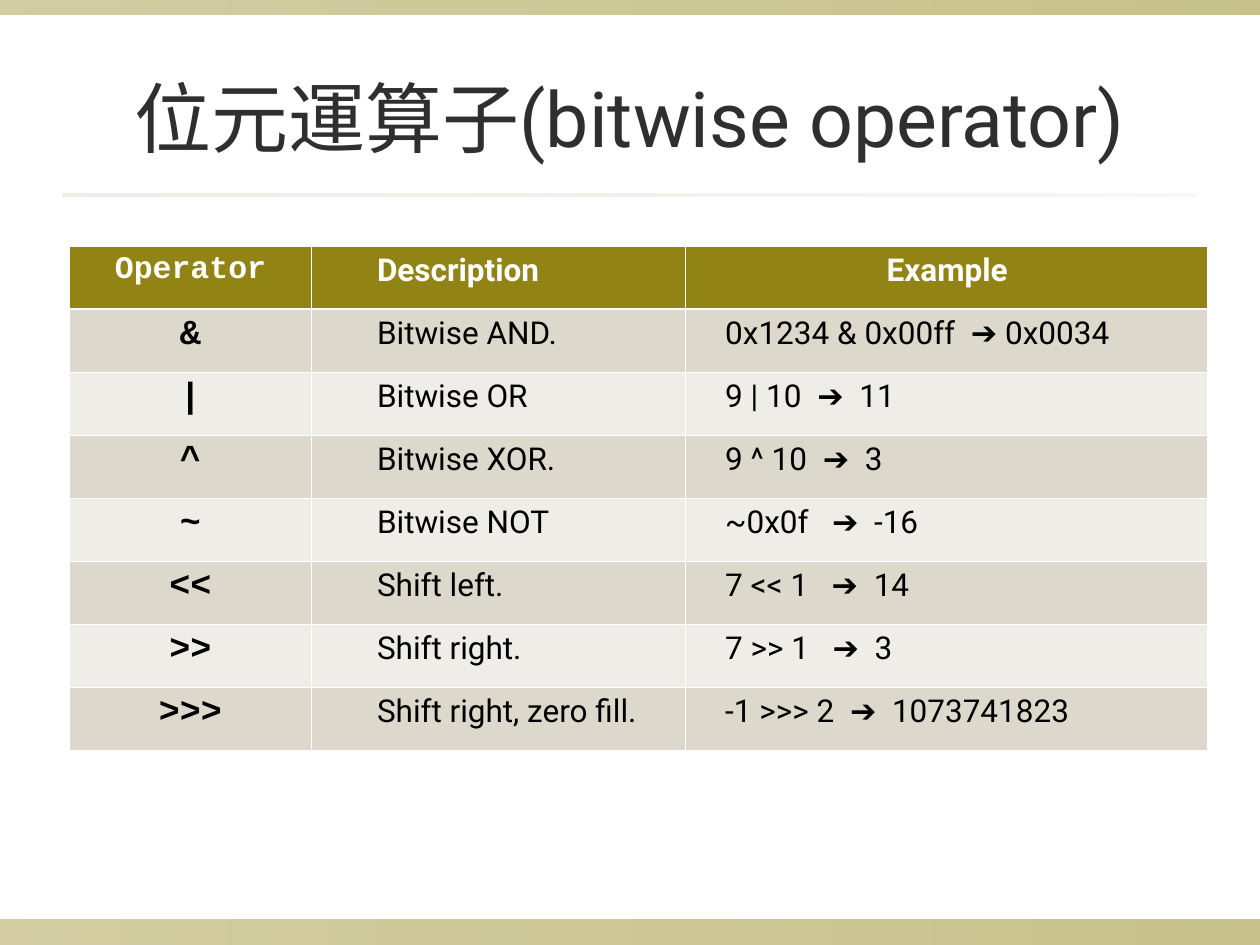
from pptx import Presentation
from pptx.dml.color import RGBColor
from pptx.enum.shapes import MSO_SHAPE
from pptx.enum.text import MSO_ANCHOR, PP_ALIGN
from pptx.oxml.ns import qn
from pptx.util import Cm, Pt
from lxml import etree

RECT = MSO_SHAPE.RECTANGLE
MIDDLE = MSO_ANCHOR.MIDDLE
CENTER, LEFT = PP_ALIGN.CENTER, PP_ALIGN.LEFT

OLIVE = RGBColor(0x91, 0x84, 0x15)
SAND = RGBColor(0xDC, 0xD9, 0xCC)
PALE = RGBColor(0xEE, 0xED, 0xE7)
DARK = RGBColor(0x2F, 0x2F, 0x2F)
BLACK = RGBColor(0, 0, 0)
WHITE = RGBColor(0xFF, 0xFF, 0xFF)

SANS, MONO, SYMBOL = "Roboto", "Courier New", "Arial"
ARROW = "➔"
SPACE = 4.46
THIN, THICK = 0.45, 1.47

WIDTHS = [4.88, 7.54, 10.52]
ROW = 1.27
HEADS = ["Operator", "Description", "Example"]
# operator, description, input, extra space before and after the arrow, result
ROWS = [
    ("&", "Bitwise AND.", "0x1234 & 0x00ff", 1, 0, "0x0034"),
    ("|", "Bitwise OR", "9 | 10", 1, 1, "11"),
    ("^", "Bitwise XOR.", "9 ^ 10", 1, 1, "3"),
    ("~", "Bitwise NOT", "~0x0f", 2, 1, "-16"),
    ("<<", "Shift left.", "7 << 1", 2, 1, "14"),
    (">>", "Shift right.", "7 >> 1", 2, 1, "3"),
    (">>>", "Shift right, zero fill.", "-1 >>> 2", 1, 1, "1073741823"),
]


def style(run, size, face, color, bold=False):
    font = run.font
    font.size, font.name, font.bold = Pt(size), face, bold
    font.color.rgb = color


def add_band(slide, left, top, width, height, color, alphas):
    band = slide.shapes.add_shape(RECT, Cm(left), Cm(top), Cm(width), Cm(height))
    band.shadow.inherit = False
    band.line.fill.background()
    band.fill.gradient()
    band.fill.gradient_angle = 0
    for stop in band.fill.gradient_stops:
        stop.color.rgb = color
    tints = band.element.spPr.iter(qn("a:srgbClr"))
    for tint, alpha in zip(tints, alphas):
        etree.SubElement(tint, qn("a:alpha"), val=str(alpha * 1000))


def add_title(slide, text):
    box = slide.shapes.add_textbox(Cm(1.27), Cm(0.76), Cm(22.86), Cm(3.18))
    frame = box.text_frame
    frame.word_wrap = True
    frame.vertical_anchor = MIDDLE
    frame.text = text
    para = frame.paragraphs[0]
    para.alignment = CENTER
    style(para.runs[0], 44, SANS, DARK)


def add_edge(cell, side, weight):
    props = cell._tc.get_or_add_tcPr()
    edge = etree.SubElement(props, qn("a:ln" + side), w=str(int(Pt(weight))))
    fill = etree.SubElement(edge, qn("a:solidFill"))
    etree.SubElement(fill, qn("a:srgbClr"), val=str(WHITE))


def set_cell(cell, fill, top=THIN, bottom=THIN):
    for side, weight in zip("LRTB", (THIN, THIN, top, bottom)):
        add_edge(cell, side, weight)
    cell.fill.solid()
    cell.fill.fore_color.rgb = fill
    cell.margin_left = cell.margin_right = Cm(0.05)
    cell.margin_top = cell.margin_bottom = Cm(0.13)


def set_text(cell, text, size, face, color, bold, align, indent=0):
    cell.text_frame.text = text
    para = cell.text_frame.paragraphs[0]
    para.alignment = align
    para._p.get_or_add_pPr().set("marL", str(int(Cm(indent))))
    style(para.runs[0], size, face, color, bold)
    return para


def add_run(para, text, face, extra=0):
    run = para.add_run()
    run.text = text
    style(run, 18, face, BLACK)
    if extra:
        run.font._element.set("spc", str(round(extra * SPACE * 100)))


def add_grid(slide):
    frame = slide.shapes.add_table(
        len(ROWS) + 1, len(HEADS), Cm(1.4), Cm(4.96),
        Cm(sum(WIDTHS)), Cm(ROW * (len(ROWS) + 1)))
    table = frame.table
    table.first_row = table.horz_banding = False
    for column, width in zip(table.columns, WIDTHS):
        column.width = Cm(width)

    looks = [(MONO, CENTER, 0), (SANS, LEFT, 1.27), (SANS, CENTER, 0.03)]
    for col, (head, (face, align, indent)) in enumerate(zip(HEADS, looks)):
        cell = table.cell(0, col)
        set_cell(cell, OLIVE, bottom=THICK)
        set_text(cell, head, 18, face, WHITE, True, align, indent)

    for row, (sign, note, left, before, after, right) in enumerate(ROWS, 1):
        cells = [table.cell(row, col) for col in range(len(HEADS))]
        for cell in cells:
            set_cell(cell, SAND if row % 2 else PALE, THICK if row == 1 else THIN)
        set_text(cells[0], sign, 20, MONO, BLACK, True, CENTER)
        set_text(cells[1], note, 18, SANS, BLACK, False, LEFT, 1.27)
        para = set_text(cells[2], left, 18, SANS, BLACK, False, LEFT, 0.75)
        add_run(para, " ", SANS, before)
        add_run(para, ARROW, SYMBOL, after)
        add_run(para, " " + right, SANS)


def main():
    deck = Presentation()
    deck.slide_width, deck.slide_height = Cm(25.4), Cm(19.05)
    slide = deck.slides.add_slide(deck.slide_layouts[6])
    add_band(slide, 0, 18.54, 25.4, 0.51, OLIVE, (40, 50))
    add_band(slide, 0, 0, 25.4, 0.3, OLIVE, (40, 50))
    add_band(slide, 1.27, 3.91, 22.86, 0.05, SAND, (50, 20))
    add_title(slide, "位元運算子(bitwise operator)")
    add_grid(slide)
    deck.save("out.pptx")


if __name__ == "__main__":
    main()
